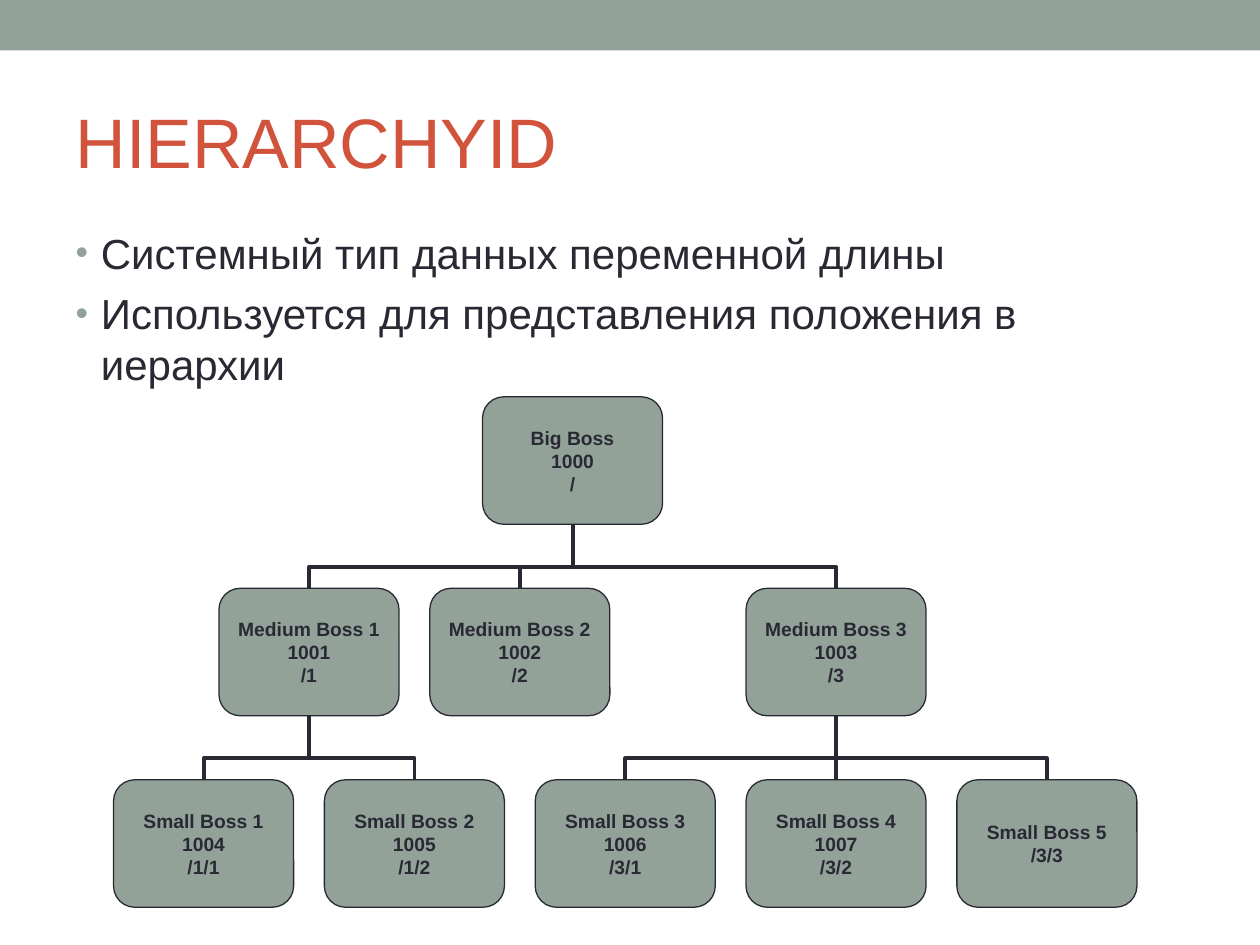
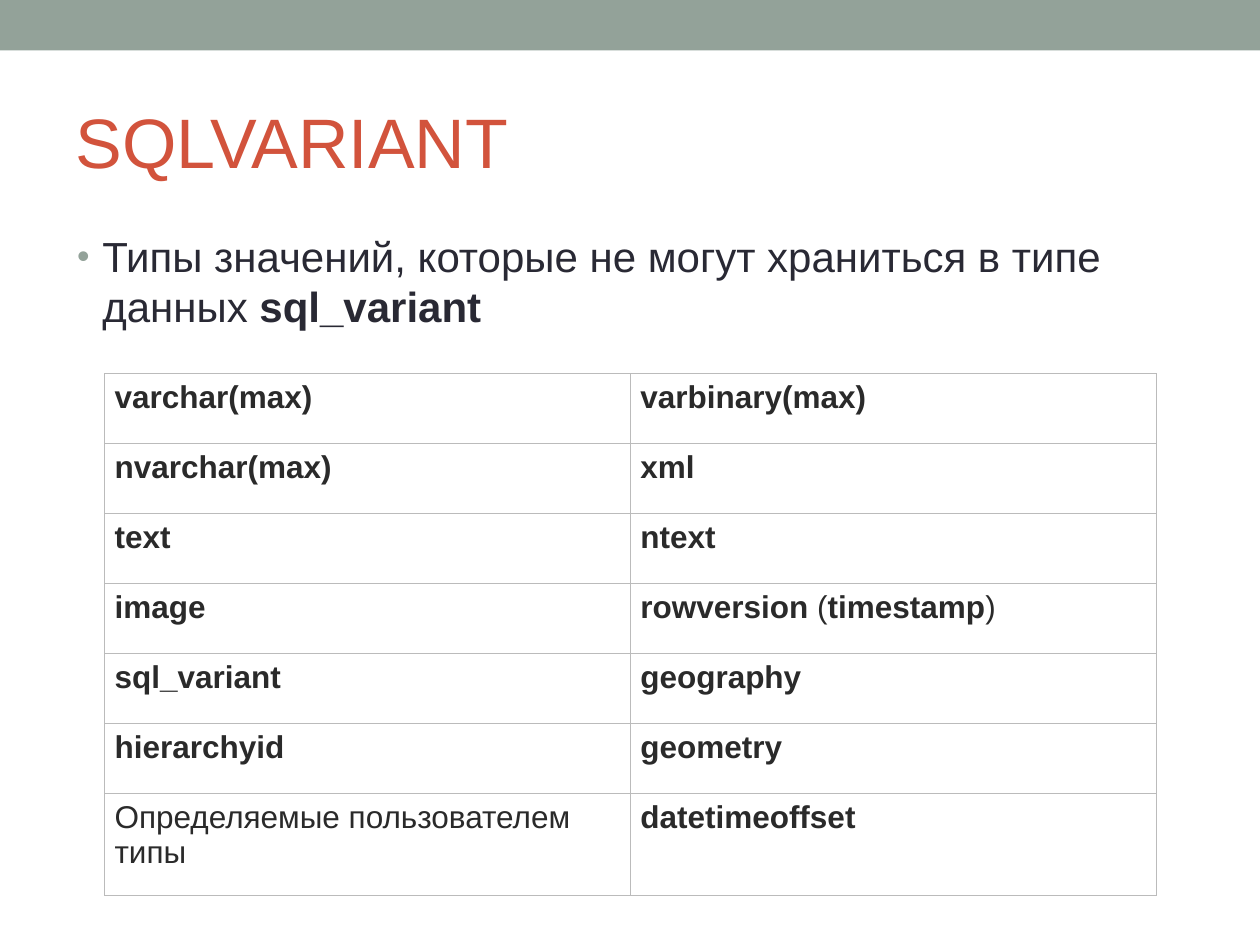
"""Build two slides on the SQL types hierarchyid and sql_variant."""
from dataclasses import dataclass

from lxml.etree import SubElement
from pptx import Presentation
from pptx.dml.color import RGBColor
from pptx.enum.shapes import MSO_CONNECTOR, MSO_SHAPE
from pptx.enum.text import MSO_ANCHOR, MSO_AUTO_SIZE, PP_ALIGN
from pptx.oxml.ns import qn
from pptx.util import Cm, Pt


@dataclass(frozen=True)
class Theme:
    font: str = "Arial"
    sage: str = "93A299"
    rust: str = "D2533C"
    ink: str = "292934"
    coal: str = "2A2A2A"
    rule: str = "BBBBBB"
    title: int = 40
    body: int = 24
    cell: int = 18
    box: int = 11


theme = Theme()


def write(para, text, size, color):
    """Fill a paragraph; text between asterisks is bold."""
    for i, part in enumerate(text.split("*")):
        if part:
            run = para.add_run()
            run.text = part
            run.font.name = theme.font
            run.font.size = Pt(size)
            run.font.bold = i % 2 == 1
            run.font.color.rgb = RGBColor.from_string(color)


def place(shape, left, top, width, height):
    """Move a shape to a box given in centimetres."""
    shape.left, shape.top = Cm(left), Cm(top)
    shape.width, shape.height = Cm(width), Cm(height)


deck = Presentation()
deck.slide_width, deck.slide_height = Cm(25.4), Cm(19.05)
layout = deck.slide_layouts[1]
place(layout.placeholders[0], 1.27, 1.47, 22.86, 2.74)

pages = [
    ("HIERARCHYID", (1.27, 4.45, 22.86, 13.54), [
        "Системный тип данных переменной длины",
        "Используется для представления положения в иерархии",
    ]),
    ("SQLVARIANT", (1.3, 4.52, 22.86, 2.8), [
        "Типы значений, которые не могут храниться в типе данных *sql_variant*",
    ]),
]
slides = []
for name, area, points in pages:
    slide = deck.slides.add_slide(layout)
    slides.append(slide)
    head = slide.shapes.title.text_frame
    head.auto_size = MSO_AUTO_SIZE.NONE
    head.vertical_anchor = MSO_ANCHOR.MIDDLE
    head.paragraphs[0].alignment = PP_ALIGN.LEFT
    write(head.paragraphs[0], name, theme.title, theme.rust)

    body = slide.placeholders[1]
    place(body, *area)
    frame = body.text_frame
    frame.auto_size = MSO_AUTO_SIZE.NONE
    for i, point in enumerate(points):
        para = frame.add_paragraph() if i else frame.paragraphs[0]
        write(para, point, theme.body, theme.ink)
        para.space_before = Pt(6)
        props = para._p.get_or_add_pPr()
        props.set("marL", str(Cm(0.51)))
        props.set("indent", str(-Cm(0.51)))
        tint = SubElement(props, qn("a:buClr"))
        SubElement(tint, qn("a:srgbClr"), val=theme.sage)
        SubElement(props, qn("a:buSzPct"), val="85000")
        SubElement(props, qn("a:buFont"), typeface=theme.font)
        SubElement(props, qn("a:buChar"), char="•")

tree, types = slides

band = tree.shapes.add_shape(MSO_SHAPE.RECTANGLE, 0, 0, deck.slide_width, Cm(1.02))
band.shadow.inherit = False
band.fill.solid()
band.fill.fore_color.rgb = RGBColor.from_string(theme.sage)
band.line.fill.background()
layout.shapes.element.insert(2, band.element)

wide, high = Cm(3.63), Cm(2.57)
step, drop = Cm(4.25), Cm(3.86)
left, top = Cm(2.29), Cm(8)
staff = [
    ("/", 0, 1.75, ["Big Boss", "1000"]),
    ("/1", 1, 0.5, ["Medium Boss 1", "1001"]),
    ("/2", 1, 1.5, ["Medium Boss 2", "1002"]),
    ("/3", 1, 3, ["Medium Boss 3", "1003"]),
    ("/1/1", 2, 0, ["Small Boss 1", "1004"]),
    ("/1/2", 2, 1, ["Small Boss 2", "1005"]),
    ("/3/1", 2, 2, ["Small Boss 3", "1006"]),
    ("/3/2", 2, 3, ["Small Boss 4", "1007"]),
    ("/3/3", 2, 4, ["Small Boss 5"]),
]
spots = {key: (left + int(slot * step), top + level * drop)
         for key, level, slot, lines in staff}

for key, (x, y) in spots.items():
    if key == "/":
        continue
    boss = spots[key.rsplit("/", 1)[0] or "/"]
    gap = drop - high
    span = boss[0] - x
    midx = (boss[0] + x + wide) // 2
    midy = y - gap // 2
    link = tree.shapes.add_connector(
        MSO_CONNECTOR.ELBOW, midx - gap // 2, midy - span // 2,
        midx + gap // 2, midy + span // 2)
    link.line.width = Pt(2.25)
    link.line.color.rgb = RGBColor.from_string(theme.ink)
    props = link.element.spPr
    props.find(qn("a:xfrm")).set("rot", "5400000")
    bend = props.find(qn("a:prstGeom")).find(qn("a:avLst"))
    SubElement(bend, qn("a:gd"), name="adj1", fmla="val 66667")
    SubElement(props, qn("a:effectLst"))

for key, level, slot, lines in staff:
    box = tree.shapes.add_shape(MSO_SHAPE.ROUNDED_RECTANGLE, *spots[key], wide, high)
    box.shadow.inherit = False
    box.fill.solid()
    box.fill.fore_color.rgb = RGBColor.from_string(theme.sage)
    box.line.width = Pt(0.75)
    box.line.color.rgb = RGBColor.from_string(theme.ink)
    frame = box.text_frame
    frame.word_wrap = False
    frame.vertical_anchor = MSO_ANCHOR.MIDDLE
    frame.margin_left = frame.margin_right = 0
    frame.margin_top = frame.margin_bottom = 0
    for i, line in enumerate(lines + [key]):
        para = frame.add_paragraph() if i else frame.paragraphs[0]
        para.alignment = PP_ALIGN.CENTER
        write(para, f"*{line}*", theme.box, theme.ink)

rows = [
    ("*varchar(max)*", "*varbinary(max)*"),
    ("*nvarchar(max)*", "*xml*"),
    ("*text*", "*ntext*"),
    ("*image*", "*rowversion* (*timestamp*)"),
    ("*sql_variant*", "*geography*"),
    ("*hierarchyid*", "*geometry*"),
    ("Определяемые пользователем типы", "*datetimeoffset*"),
]
grid = types.shapes.add_table(
    len(rows), 2, Cm(2.11), Cm(7.53), Cm(21.2), Cm(10.52)).table
grid.first_row = grid.horz_banding = False
for r, texts in enumerate(rows):
    grid.rows[r].height = Cm(2.06 if r == len(rows) - 1 else 1.41)
    for c, text in enumerate(texts):
        cell = grid.cell(r, c)
        cell.margin_left = cell.margin_right = Cm(0.2)
        cell.margin_top = cell.margin_bottom = Cm(0.13)
        write(cell.text_frame.paragraphs[0], text, theme.cell, theme.coal)
        props = cell._tc.get_or_add_tcPr()
        for side in ("lnL", "lnR", "lnT", "lnB"):
            edge = SubElement(props, qn(f"a:{side}"), w=str(Pt(0.34)))
            paint = SubElement(edge, qn("a:solidFill"))
            SubElement(paint, qn("a:srgbClr"), val=theme.rule)
        cell.fill.background()

deck.save("out.pptx")
